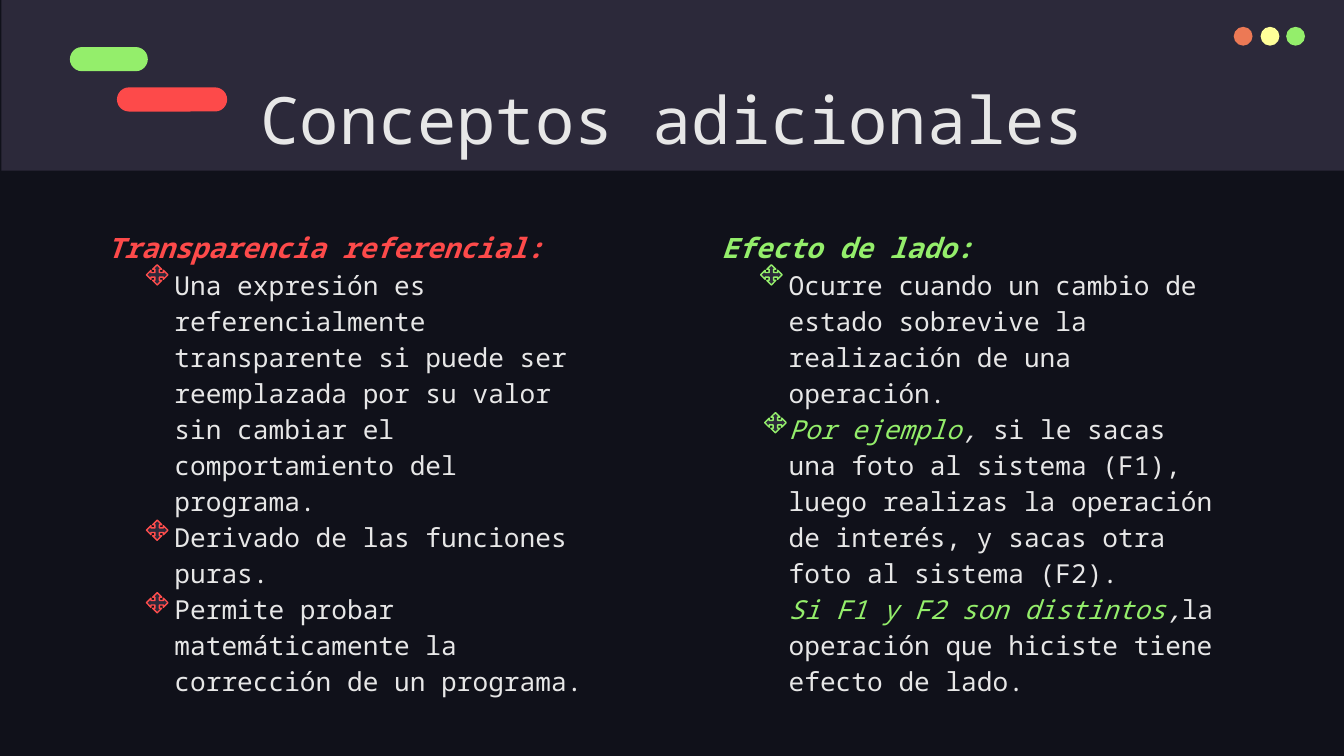
from pptx import Presentation
from pptx import util as u
from pptx.dml.color import RGBColor
from pptx.enum import shapes, text

FONT = "Noto Sans Mono"
COLORS = {
    "night": "10111A", "band": "2C293A", "light": "E7E7E7", "orange": "EC7955",
    "yellow": "FFFF99", "green": "94EE6B", "red": "FD4A4A", "marker_red": "FF4D4C",
}

# Content
TITLE = "Conceptos adicionales"
PLAIN = {"size": u.Pt(14), "bold": False, "italic": False}
SLANTED = {**PLAIN, "italic": True}
HEADING = {"size": u.Pt(15), "bold": True, "italic": True}

# Each concept: box, heading, accent, points made of (words, color, format), marker places
CONCEPTS = [
    {
        "box": (5.27, 1.58, 3.94, 2.66),
        "heading": "Efecto de lado:",
        "accent": "green",
        "points": [
            [("Ocurre cuando un cambio de estado sobrevive la realización de una operación.", "light", PLAIN)],
            [("Por ejemplo", "green", SLANTED), (",", "light", SLANTED),
             (" si le sacas una foto al sistema (F1), luego realizas la operación de interés, "
              "y sacas otra foto al sistema (F2).", "light", PLAIN)],
            [("Si F1 y F2 son distintos", "green", SLANTED), (",", "light", SLANTED),
             ("la operación que hiciste tiene efecto de lado.", "light", PLAIN)],
        ],
        "marker": "green",
        "marker_places": [(5.66, 1.97), (5.69, 3.07)],
    },
    {
        "box": (0.7, 1.58, 3.94, 3.58),
        "heading": "Transparencia referencial:",
        "accent": "red",
        "points": [
            [("Una expresión es referencialmente transparente si puede ser reemplazada por su valor "
              "sin cambiar el comportamiento del programa.", "light", PLAIN)],
            [("Derivado de las funciones puras.", "light", PLAIN)],
            [("Permite probar matemáticamente la corrección de un programa.", "light", PLAIN)],
        ],
        "marker": "marker_red",
        "marker_places": [(1.09, 1.97), (1.09, 3.87), (1.09, 4.41)],
    },
]
DOTS = [(9.18, "orange"), (9.38, "yellow"), (9.57, "green")]
PILLS = [((0.52, 0.35, 0.58, 0.18), "green"), ((0.87, 0.65, 0.82, 0.18), "red")]


def rgb(name):
    return RGBColor.from_string(COLORS[name])


def inches(box):
    return [u.Inches(value) for value in box]


def add_figure(slide, kind, box, fill, outline=None, adjustments=()):
    figure = slide.shapes.add_shape(kind, *inches(box))
    figure.shadow.inherit = False
    figure.fill.solid()
    figure.fill.fore_color.rgb = rgb(fill)
    if outline:
        figure.line.color.rgb = rgb(outline)
        figure.line.width = u.Pt(0.75)
    else:
        figure.line.fill.background()
    for index, value in enumerate(adjustments):
        figure.adjustments[index] = value


def set_frame(frame):
    settings = {"word_wrap": True, "auto_size": text.MSO_AUTO_SIZE.NONE,
                "vertical_anchor": text.MSO_ANCHOR.TOP}
    settings.update({f"margin_{side}": u.Inches(0.1) for side in ("left", "top", "right", "bottom")})
    for name, value in settings.items():
        setattr(frame, name, value)


def add_words(paragraph, words, color, style):
    run = paragraph.add_run()
    run.text = words
    run.font.name = FONT
    run.font.color.rgb = rgb(color)
    for name, value in style.items():
        setattr(run.font, name, value)


def add_concept(slide, concept):
    frame = slide.shapes.add_textbox(*inches(concept["box"])).text_frame
    set_frame(frame)
    heading = frame.paragraphs[0]
    heading.line_spacing = 1.15
    add_words(heading, concept["heading"], concept["accent"], HEADING)
    for pieces in concept["points"]:
        point = frame.add_paragraph()
        point.line_spacing = 1.15
        properties = point._p.get_or_add_pPr()
        properties.set("marL", str(u.Inches(0.5)))
        properties.set("indent", "0")
        for piece in pieces:
            add_words(point, *piece)


def main():
    # Widescreen, 16 by 9
    deck = Presentation()
    deck.slide_width = u.Inches(10)
    deck.slide_height = u.Inches(10 * 9 / 16)
    slide = deck.slides.add_slide(deck.slide_layouts[5])
    slide.background.fill.solid()
    slide.background.fill.fore_color.rgb = rgb("night")

    # Header band and window dots
    kinds = shapes.MSO_SHAPE
    add_figure(slide, kinds.RECTANGLE, (0.01, 0, 10, 1.27), "band")
    for left, color in DOTS:
        add_figure(slide, kinds.OVAL, (left, 0.2, 0.14, 0.14), color)

    # Title, brought in front of the band
    title = slide.shapes.title
    title.left, title.top, title.width, title.height = inches((0.79, 0.49, 8.43, 0.63))
    set_frame(title.text_frame)
    title_line = title.text_frame.paragraphs[0]
    title_line.alignment = text.PP_ALIGN.CENTER
    add_words(title_line, TITLE, "light", {"size": u.Pt(35)})
    slide.shapes._spTree.append(title._element)

    # Concept columns and their markers
    for concept in CONCEPTS:
        add_concept(slide, concept)
        for place in concept["marker_places"]:
            add_figure(slide, kinds.QUAD_ARROW, (*place, 0.16, 0.15), "band",
                       concept["marker"], [0.225] * 3)

    # Decorative pills
    for box, color in PILLS:
        add_figure(slide, kinds.ROUNDED_RECTANGLE, box, color, adjustments=[0.5])

    deck.save("out.pptx")


if __name__ == "__main__":
    main()
